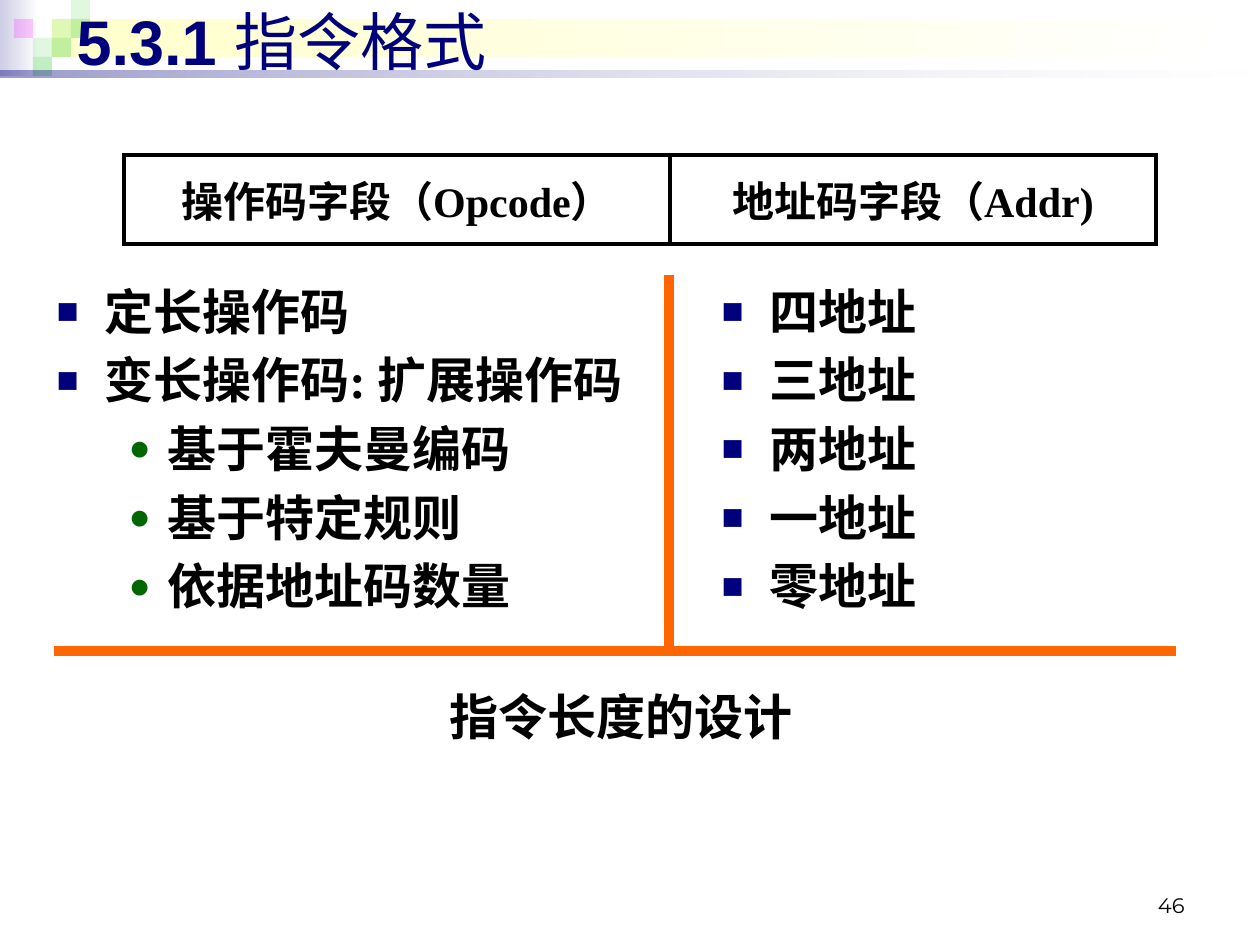
from lxml import etree
from pptx import Presentation, util as u
from pptx.dml.color import RGBColor
from pptx.enum import shapes, text
from pptx.oxml.ns import qn

COLORS = {"navy": "00007D", "lavender": "CDCDE6", "cream": "FFFFCC", "white": "FFFFFF",
          "green": "33CC33", "pink": "FF00FF", "bullet": "006600", "orange": "FF6600", "black": "000000"}
TITLE = [("5.3.1 ", True), ("指令格式", False)]
FIELDS = [("操作码字段（Opcode）", 546), ("地址码字段（Addr)", 486)]
OPCODES = [("定长操作码", 0), ("变长操作码: 扩展操作码", 0), ("基于霍夫曼编码", 1),
           ("基于特定规则", 1), ("依据地址码数量", 1)]
ADDRESSES = [(name, 0) for name in ("四地址", "三地址", "两地址", "一地址", "零地址")]
SUMMARY = "指令长度的设计"
PAGE_NUMBER = "46"

GRADIENTS = [((0, 0, 39, 76), "lavender", 100, 100), ((52, 19, 1203, 38), "cream", 100, 100)]
UNDERLINE = ((0, 71, 1260, 7), "navy", 40, 10)
SQUARE = 19
SQUARES = [(2, 1, "green", 15), (3, 0, "green", 15), (3, 1, "green", 30), (1, 2, "green", 15),
           (0, 1, "pink", 20), (2, 2, "green", 30), (1, 3, "green", 30)]
LEVELS = [(48, 48, "■", "navy"), (111, 39, "●", "bullet")]
RULES = [(669, 275, 669, 651), (1176, 651, 54, 651)]
SERIF = "Times New Roman"


def px(value):
    return u.Emu(round(value * 914400 / 126))


def rgb(name):
    return RGBColor.from_string(COLORS[name])


def add(parent, tag, **attributes):
    return etree.SubElement(parent, qn(tag), attributes)


def place(shape, left, top, width, height):
    shape.left, shape.top, shape.width, shape.height = map(px, (left, top, width, height))


def style(span, size, face, color="black", bold=True):
    span.font.size, span.font.name, span.font.bold = u.Pt(size), face, bold
    span.font.color.rgb = rgb(color)


def set_alpha(shape, values):
    for color, value in zip(shape._element.spPr.iter(qn("a:srgbClr")), values):
        if value < 100:
            add(color, "a:alpha", val=str(value * 1000))


def add_block(page, area):
    block = page.shapes.add_shape(shapes.MSO_SHAPE.RECTANGLE, *map(px, area))
    block.shadow.inherit = False
    block.line.fill.background()
    return block


def add_gradient(page, area, color, first, last):
    block = add_block(page, area)
    block.fill.gradient()
    block.fill.gradient_angle = 0
    for stop, name in zip(block.fill.gradient_stops, (color, "white")):
        stop.color.rgb = rgb(name)
    set_alpha(block, (first, last))


def add_decoration(page):
    for gradient in GRADIENTS:
        add_gradient(page, *gradient)
    for column, row, color, alpha in SQUARES:
        block = add_block(page, (14 + column * SQUARE, row * SQUARE, SQUARE, SQUARE))
        block.fill.solid()
        block.fill.fore_color.rgb = rgb(color)
        set_alpha(block, [alpha])
    add_gradient(page, *UNDERLINE)


def fill_title(box):
    place(box, 64, -4, 1181, 89)
    frame = box.text_frame
    frame.auto_size = text.MSO_AUTO_SIZE.NONE
    frame.vertical_anchor = text.MSO_ANCHOR.MIDDLE
    para = frame.paragraphs[0]
    para.alignment = text.PP_ALIGN.LEFT
    for words, bold in TITLE:
        span = para.add_run()
        span.text = words
        style(span, 36, "Arial", "navy", bold)


def fill_list(box, area, items):
    place(box, *area)
    frame = box.text_frame
    frame.auto_size = text.MSO_AUTO_SIZE.NONE
    frame.text = "\n".join(words for words, level in items)
    for index, (para, (words, level)) in enumerate(zip(frame.paragraphs, items)):
        margin, hang, mark, color = LEVELS[level]
        para.level = level
        props = para._p.get_or_add_pPr()
        props.set("marL", str(px(margin)))
        props.set("indent", str(-px(hang)))
        add(add(props, "a:buClr"), "a:srgbClr", val=COLORS[color])
        add(props, "a:buSzPct", val="75000")
        add(props, "a:buChar", char=mark)
        para.space_before = u.Pt(5.6 if index else 0)
        style(para.runs[0], 28, SERIF)


def add_label(page, area, words, size, face, align, anchor, bold):
    box = page.shapes.add_textbox(*map(px, area))
    frame = box.text_frame
    frame.word_wrap = True
    frame.vertical_anchor = anchor
    frame.text = words
    frame.paragraphs[0].alignment = align
    style(frame.paragraphs[0].runs[0], size, face, bold=bold)


def add_fields(page):
    width = sum(size for words, size in FIELDS)
    table = page.shapes.add_table(1, len(FIELDS), *map(px, (124, 155, width, 89))).table
    for index, (words, size) in enumerate(FIELDS):
        table.columns[index].width = px(size)
        cell = table.cell(0, index)
        cell.text = words
        cell.vertical_anchor = text.MSO_ANCHOR.MIDDLE
        para = cell.text_frame.paragraphs[0]
        para.alignment = text.PP_ALIGN.CENTER
        style(para.runs[0], 24, SERIF)
        for side in "LRTB":
            border = add(cell._tc.get_or_add_tcPr(), "a:ln" + side, w=str(u.Pt(2.25)))
            add(add(border, "a:solidFill"), "a:srgbClr", val=COLORS["black"])
        cell.fill.background()


def add_rules(page):
    for ends in RULES:
        rule = page.shapes.add_connector(shapes.MSO_CONNECTOR.STRAIGHT, *map(px, ends))
        rule.line.color.rgb = rgb("orange")
        rule.line.width = u.Pt(6)
        add(rule._element.spPr, "a:effectLst")


def main():
    deck = Presentation()
    deck.slide_width, deck.slide_height = px(1260), px(945)
    page = deck.slides.add_slide(deck.slide_layouts[3])
    title, left, right = page.placeholders
    add_decoration(page)
    for holder in (title, left, right):
        page.shapes._spTree.append(holder._element)
    fill_title(title)
    fill_list(left, (44, 275, 625, 377), OPCODES)
    fill_list(right, (709, 275, 318, 377), ADDRESSES)
    add_label(page, (903, 861, 294, 63), PAGE_NUMBER, 12, "Montserrat",
              text.PP_ALIGN.RIGHT, text.MSO_ANCHOR.BOTTOM, False)
    add_fields(page)
    add_rules(page)
    add_label(page, (115, 680, 1012, 79), SUMMARY, 28, SERIF,
              text.PP_ALIGN.CENTER, text.MSO_ANCHOR.TOP, True)
    deck.save("out.pptx")


if __name__ == "__main__":
    main()
